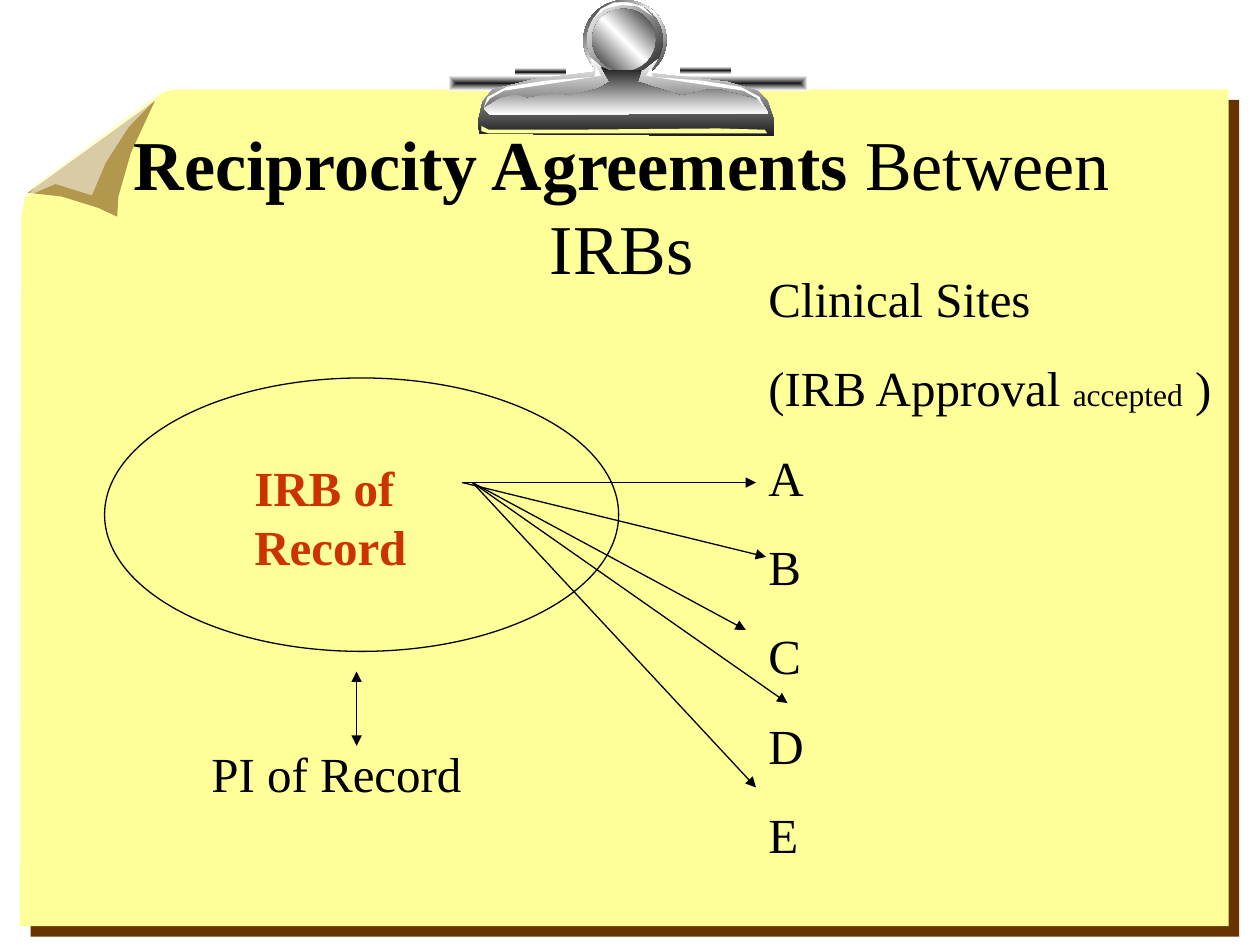
from lxml import etree
from pptx import Presentation
from pptx.dml.color import RGBColor
from pptx.enum import shapes, text
from pptx.oxml import parse_xml
from pptx.oxml.ns import nsdecls, qn
from pptx.util import Inches, Pt

BLACK = RGBColor(0x00, 0x00, 0x00)
WHITE = RGBColor(0xFF, 0xFF, 0xFF)
STEEL = RGBColor(0x1C, 0x1C, 0x1C)
PAPER = RGBColor(0xFF, 0xFF, 0x99)
BROWN = RGBColor(0x66, 0x33, 0x00)
RED = RGBColor(0xCC, 0x33, 0x00)
FONT = "Times New Roman"

TITLE = [("Reciprocity Agreements", 40, True), (" Between IRBs", 40, False)]
RECORD = [[("IRB of Record", 28, True)]]
INVESTIGATOR = [[("PI of Record", 28, False)]]
SITES = [
    [("Clinical Sites", 28, False)],
    [("(IRB Approval ", 28, False), ("accepted", 18, False), (" )", 28, False)],
] + [[(site, 28, False)] for site in "ABCDE"]

# Left, top, width, height in inches
LABELS = [
    (RECORD, (1.92, 3.58, 2.08, 1.04), RED),
    (SITES, (6, 2.08, 4.17, 4.83), BLACK),
    (INVESTIGATOR, (1.58, 5.85, 2.67, 0.57), BLACK),
]

# Start x and arrow tip of the lines from the IRB to each site
SITE_LINE_Y = 3.83
SITE_LINES = [(3.67, (6, 3.83)), (3.67, (6.08, 4.42)), (3.75, (5.92, 5)),
              (3.75, (6.25, 5.58)), (3.75, (6, 6.25))]

# Outlines in hundredths of an inch
CLIP_AXIS = 495
SHEET = [(139, 71), (975, 71), (975, 735), (16, 735), (17, 171), (20, 156), (27, 148),
         (119, 80), (130, 73)]
CURL = [(49, 156), (78, 165), (93, 172), (94, 156), (104, 121), (123, 80), (22, 153)]
CURL_LIGHT = [(21, 156), (31, 145), (128, 74), (102, 101), (84, 129), (73, 155), (44, 146)]
RING_GLINT = [(518, 13), (510, 5), (499, 2), (487, 2), (477, 7), (470, 16), (480, 7),
              (493, 4), (506, 5)]
CLIP = [(381, 106), (614, 108), (614, 95), (609, 80), (601, 72), (577, 65), (515, 58),
        (522, 47), (511, 56), (494, 59), (478, 54), (469, 46), (472, 57), (424, 63),
        (391, 71), (383, 81), (379, 98)]
LEFT_GLINT = [(384, 85), (387, 77), (402, 69), (433, 64), (472, 61), (473, 53), (477, 60),
              (453, 64), (400, 72), (389, 78)]
RIGHT_GLINT = [(2 * CLIP_AXIS - x, y) for x, y in LEFT_GLINT]
BASE_STRIPE = [(382, 100), (382, 104), (388, 106), (609, 106), (607, 103), (570, 102),
               (446, 103), (388, 103)]
CLIP_SHADE = [(397, 78), (384, 86), (389, 91), (610, 90), (604, 80), (571, 71), (563, 71),
              (541, 76), (506, 65), (509, 56), (484, 56), (477, 53), (484, 65), (476, 70),
              (452, 76), (441, 74), (418, 78), (409, 75)]

RECT, OVAL = shapes.MSO_SHAPE.RECTANGLE, shapes.MSO_SHAPE.OVAL
BAND = [WHITE, STEEL, WHITE]
SHINE = [STEEL, WHITE, STEEL]

# Outline (points, or preset and box), colours, then opacity or gradient angle;
# a gradient without an angle spreads from the centre
CLIPBOARD = [
    (SHEET, [PAPER], 100),
    (CURL, [BROWN], 50),
    (CURL_LIGHT, [WHITE], 50),
    ((RECT, (3.56, 0.6, 2.85, 0.12)), [STEEL, WHITE], None),
    ((RECT, (4.09, 0.54, 0.4, 0.06)), BAND, 90),
    ((RECT, (5.4, 0.53, 0.4, 0.06)), BAND, 90),
    ((OVAL, (4.63, 0, 0.66, 0.64)), SHINE, 225),
    ((OVAL, (4.66, 0.02, 0.6, 0.6)), [STEEL, WHITE], 225),
    (RING_GLINT, [WHITE], 100),
    ((OVAL, (4.7, 0.07, 0.5, 0.49)), SHINE, 135),
    (CLIP, [WHITE, STEEL], 90),
    (LEFT_GLINT, [WHITE], 100),
    (BASE_STRIPE, [PAPER], 100),
    (CLIP_SHADE, [STEEL, WHITE], 90),
    (RIGHT_GLINT, [WHITE], 100),
]


def fill_solid(sp, colour, opacity):
    sp.fill.solid()
    sp.fill.fore_color.rgb = colour
    if opacity < 100:
        clr = sp._element.spPr.find(qn("a:solidFill"))[0]
        etree.SubElement(clr, qn("a:alpha")).set("val", str(opacity * 1000))


def fill_gradient(sp, colours, angle):
    step = 100000 // (len(colours) - 1)
    stops = "".join(f'<a:gs pos="{i * step}"><a:srgbClr val="{c}"/></a:gs>'
                    for i, c in enumerate(colours))
    if angle is None:
        way = '<a:path path="rect"><a:fillToRect l="50000" t="50000" r="50000" b="50000"/></a:path>'
    else:
        way = f'<a:lin ang="{angle * 60000}" scaled="1"/>'
    sp.fill.background()
    old = sp._element.spPr.find(qn("a:noFill"))
    old.getparent().replace(old, parse_xml(
        f'<a:gradFill {nsdecls("a")} rotWithShape="1"><a:gsLst>{stops}</a:gsLst>{way}</a:gradFill>'))


def add_art(s, outline, colours, setting):
    if isinstance(outline, list):
        builder = s.shapes.build_freeform(*outline[0], scale=Inches(0.01))
        builder.add_line_segments(outline[1:], close=True)
        sp = builder.convert_to_shape()
    else:
        preset, box = outline
        sp = s.shapes.add_shape(preset, *map(Inches, box))
    if len(colours) == 1:
        fill_solid(sp, colours[0], setting)
    else:
        fill_gradient(sp, colours, setting)
    sp.line.fill.background()
    sp.shadow.inherit = False
    return sp


def add_sheet_shadow(sp):
    effects = sp._element.spPr.find(qn("a:effectLst"))
    effects.append(parse_xml(
        f'<a:outerShdw {nsdecls("a")} dist="{Pt(8.5)}" dir="2700000" algn="ctr" rotWithShape="0">'
        f'<a:srgbClr val="{BROWN}"/></a:outerShdw>'))


def add_runs(p, runs, colour):
    for words, size, bold in runs:
        r = p.add_run()
        r.text = words
        r.font.name, r.font.size, r.font.bold = FONT, Pt(size), bold
        r.font.color.rgb = colour


def add_label(s, paragraphs, box, colour):
    tf = s.shapes.add_textbox(*map(Inches, box)).text_frame
    tf.word_wrap = True
    for i, runs in enumerate(paragraphs):
        p = tf.add_paragraph() if i else tf.paragraphs[0]
        if i:
            p.space_before = Pt(17.5)
        add_runs(p, runs, colour)


def add_arrow(s, start, end, ends=("tailEnd",)):
    line = s.shapes.add_connector(shapes.MSO_CONNECTOR.STRAIGHT, *map(Inches, start + end))
    line.line.color.rgb = BLACK
    line.line.width = Pt(0.75)
    for tag in ends:
        etree.SubElement(line.line._get_or_add_ln(), qn(f"a:{tag}")).set("type", "triangle")
    etree.SubElement(line._element.spPr, qn("a:effectLst"))


def main():
    prs = Presentation()
    prs.slide_width, prs.slide_height = Inches(10), Inches(7.5)
    s = prs.slides.add_slide(prs.slide_layouts[5])

    sheet, *_ = [add_art(s, *part) for part in CLIPBOARD]
    add_sheet_shadow(sheet)

    title = s.shapes.title
    title.left, title.top, title.width, title.height = map(Inches, (0.52, 1.33, 8.83, 1.25))
    s.shapes._spTree.append(title._element)  # in front of the clipboard
    tf = title.text_frame
    tf.word_wrap = True
    tf.auto_size = text.MSO_AUTO_SIZE.NONE
    tf.vertical_anchor = text.MSO_ANCHOR.MIDDLE
    tf.margin_bottom = Inches(0.72)  # lifts the two lines towards the clip
    tf.paragraphs[0].alignment = text.PP_ALIGN.CENTER
    add_runs(tf.paragraphs[0], TITLE, BLACK)

    oval = s.shapes.add_shape(OVAL, *map(Inches, (0.83, 3, 4.08, 2.17)))
    oval.fill.background()
    oval.line.color.rgb = BLACK
    oval.line.width = Pt(0.75)
    oval.shadow.inherit = False

    for label in LABELS:
        add_label(s, *label)
    for x, tip in SITE_LINES:
        add_arrow(s, (x, SITE_LINE_Y), tip)
    add_arrow(s, (2.83, 5.33), (2.83, 5.92), ("headEnd", "tailEnd"))

    prs.save("out.pptx")


if __name__ == "__main__":
    main()
